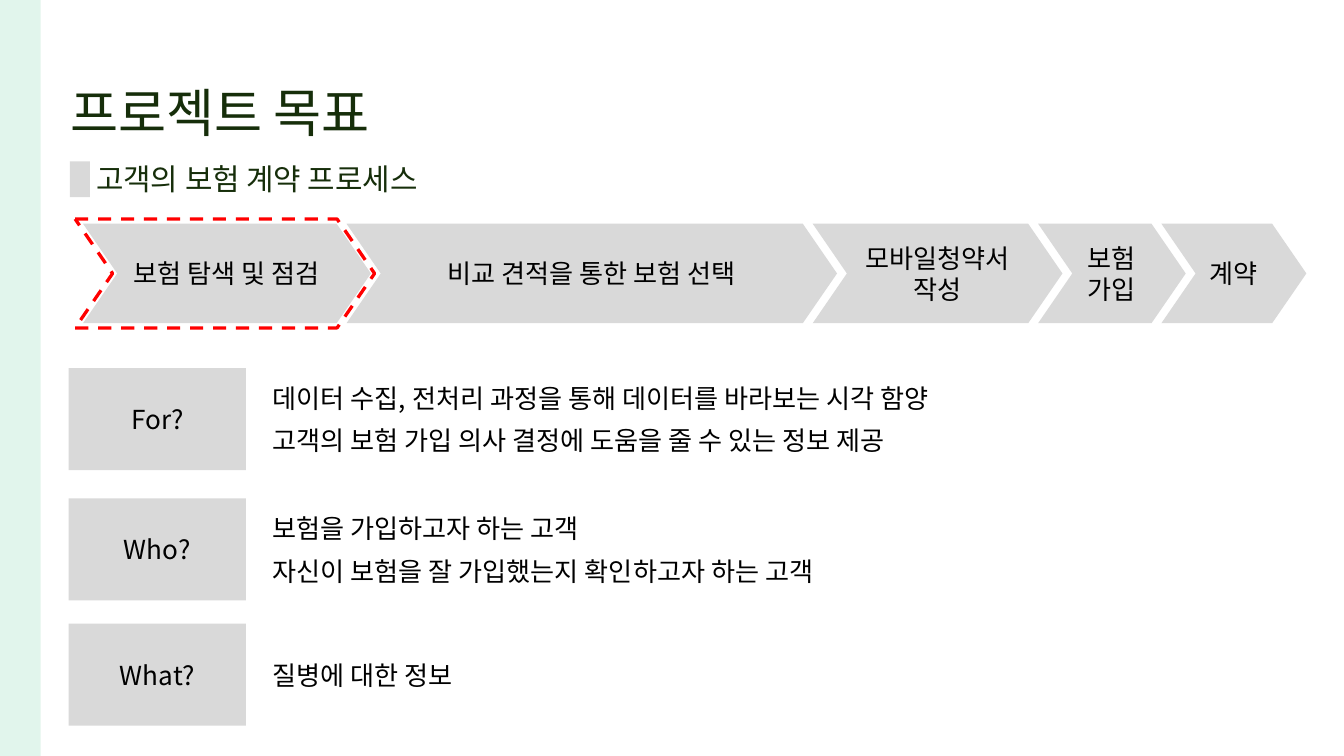
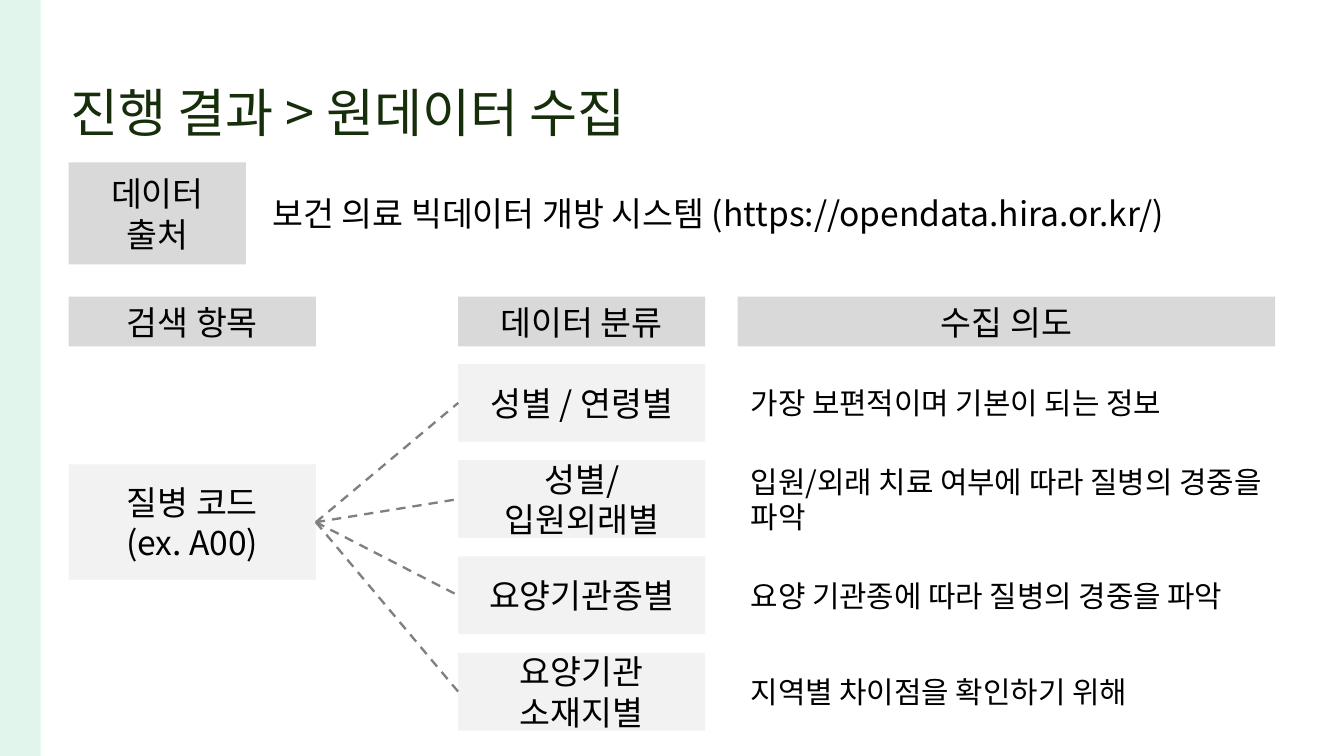
from lxml.etree import SubElement
from pptx import Presentation
from pptx.dml.color import RGBColor
from pptx.enum.dml import MSO_LINE
from pptx.enum.shapes import MSO_CONNECTOR, MSO_SHAPE
from pptx.enum.text import MSO_ANCHOR, MSO_AUTO_SIZE, PP_ALIGN
from pptx.oxml.ns import qn
from pptx.util import Cm, Pt

FONT = "Noto Sans CJK KR"
COLORS = {
    "band": "D8F2E6",
    "title": "162E0A",
    "text": "000000",
    "header": "D9D9D9",
    "cell": "F2F2F2",
    "link": "808080",
    "focus": "FF0000",
}

GOAL_TITLE = "프로젝트 목표"
PROCESS_HEADING = "고객의 보험 계약 프로세스"
STEPS = [
    ("보험 탐색 및 점검", 5.44),
    ("비교 견적을 통한 보험 선택", 9.27),
    ("모바일청약서 작성", 4.72),
    ("보험 가입", 2.79),
    ("계약", 2.74),
]
GOALS = [
    (6.96, "For?", ["데이터 수집, 전처리 과정을 통해 데이터를 바라보는 시각 함양",
                    "고객의 보험 가입 의사 결정에 도움을 줄 수 있는 정보 제공"]),
    (9.42, "Who?", ["보험을 가입하고자 하는 고객",
                    "자신이 보험을 잘 가입했는지 확인하고자 하는 고객"]),
    (11.79, "What?", ["질병에 대한 정보"]),
]

DATA_TITLE = "진행 결과 > 원데이터 수집"
SOURCE_TAG = ["데이터", "출처"]
SOURCE = ["보건 의료 빅데이터 개방 시스템 (https://opendata.hira.or.kr/)"]
COLUMNS = [("검색 항목", 1.3, 4.67), ("데이터 분류", 8.66, 4.67), ("수집 의도", 13.94, 10.16)]
SEARCH_ITEM = ["질병 코드", "(ex. A00)"]
CATEGORIES = [
    ("성별 / 연령별", "가장 보편적이며 기본이 되는 정보"),
    ("성별/ 입원외래별", "입원/외래 치료 여부에 따라 질병의 경중을 파악"),
    ("요양기관종별", "요양 기관종에 따라 질병의 경중을 파악"),
    ("요양기관 소재지별", "지역별 차이점을 확인하기 위해"),
]

WIDTH, HEIGHT = 25.4, 14.29
TAG_X, TAG_W, TAG_H = 1.3, 3.35, 1.93
NOTE_X, NOTE_W = 4.9, 19.2
STEP_X, STEP_Y, STEP_H, STEP_OVERLAP = 1.57, 4.23, 1.88, 0.46
ROW_Y, ROW_H, ROW_PITCH = 6.88, 1.47, 1.82


def rgb(name):
    return RGBColor.from_string(COLORS[name])


def write(tf, lines, size, color="text", align=PP_ALIGN.LEFT, gap=0):
    tf.word_wrap = True
    tf.auto_size = MSO_AUTO_SIZE.NONE
    tf.vertical_anchor = MSO_ANCHOR.MIDDLE
    for i, line in enumerate(lines):
        p = tf.paragraphs[0] if i == 0 else tf.add_paragraph()
        p.alignment = align
        p.space_before = Pt(gap if i else 0)
        r = p.add_run()
        r.text = line
        r.font.size = Pt(size)
        r.font.color.rgb = rgb(color)
        r.font.name = FONT
        SubElement(r._r.get_or_add_rPr(), qn("a:ea")).set("typeface", FONT)


def add_box(s, x, y, w, h, fill=None, lines=(), size=14, kind=MSO_SHAPE.RECTANGLE):
    sp = s.shapes.add_shape(kind, Cm(x), Cm(y), Cm(w), Cm(h))
    sp.shadow.inherit = False
    sp.line.fill.background()
    if fill:
        sp.fill.solid()
        sp.fill.fore_color.rgb = rgb(fill)
    else:
        sp.fill.background()
    if kind == MSO_SHAPE.CHEVRON:
        sp.adjustments[0] = 0.344
    write(sp.text_frame, lines, size, align=PP_ALIGN.CENTER)
    return sp


def add_text(s, x, y, w, h, lines, size, color="text", gap=0):
    sp = s.shapes.add_textbox(Cm(x), Cm(y), Cm(w), Cm(h))
    write(sp.text_frame, lines, size, color, gap=gap)


def add_tagged_note(s, y, tag, note, size):
    add_box(s, TAG_X, y, TAG_W, TAG_H, "header", tag, size)
    add_text(s, NOTE_X, y, NOTE_W, TAG_H, note, size, gap=6)


def add_link(s, start, end):
    c = s.shapes.add_connector(MSO_CONNECTOR.STRAIGHT, 0, 0, 0, 0)
    c.begin_connect(start, 3)
    c.end_connect(end, 1)
    c.line.color.rgb = rgb("link")
    c.line.width = Pt(1.25)
    c.line.dash_style = MSO_LINE.DASH
    SubElement(c._element.spPr, qn("a:effectLst"))


def add_slide(prs, layout, title):
    s = prs.slides.add_slide(layout)
    sp = s.shapes.title
    sp.left, sp.top, sp.width, sp.height = Cm(1.07), Cm(1.17), Cm(20.24), Cm(1.88)
    write(sp.text_frame, [title], 28, "title")
    return s


def add_band(s, layout):
    band = add_box(s, 0, 0, 0.77, HEIGHT, "band")
    color = band.fill._xPr.find(qn("a:solidFill"))[0]
    SubElement(color, qn("a:alpha")).set("val", "75000")
    layout.shapes.element.insert(2, band.element)


def build_goal(s):
    x = STEP_X
    for label, w in STEPS:
        add_box(s, x, STEP_Y, w, STEP_H, "header", [label], kind=MSO_SHAPE.CHEVRON)
        x += w - STEP_OVERLAP
    focus = add_box(s, 1.42, 4.14, 5.66, 2.06, kind=MSO_SHAPE.CHEVRON)
    focus.line.color.rgb = rgb("focus")
    focus.line.width = Pt(1.75)
    focus.line.dash_style = MSO_LINE.DASH
    add_text(s, 1.57, 2.9, 9.47, 0.97, [PROCESS_HEADING], 16, "title")
    add_box(s, 1.32, 3.05, 0.38, 0.68, "header")
    for y, tag, note in GOALS:
        add_tagged_note(s, y, [tag], note, 14)


def build_data(s):
    add_tagged_note(s, 3.07, SOURCE_TAG, SOURCE, 18)
    for label, x, w in COLUMNS:
        add_box(s, x, 5.61, w, 0.94, "header", [label], 18)
    (_, item_x, item_w), (_, class_x, class_w), (_, aim_x, aim_w) = COLUMNS
    item = add_box(s, item_x, 8.78, item_w, 2.18, "cell", SEARCH_ITEM, 18)
    for i, (category, aim) in enumerate(CATEGORIES):
        y = ROW_Y + i * ROW_PITCH
        cell = add_box(s, class_x, y, class_w, ROW_H, "cell", [category], 18)
        add_link(s, item, cell)
        add_text(s, aim_x, y, aim_w, ROW_H, [aim], 16)


def main():
    prs = Presentation()
    prs.slide_width, prs.slide_height = Cm(WIDTH), Cm(HEIGHT)
    layout = prs.slide_layouts[5]
    goal = add_slide(prs, layout, GOAL_TITLE)
    add_band(goal, layout)
    build_goal(goal)
    build_data(add_slide(prs, layout, DATA_TITLE))
    prs.save("out.pptx")


if __name__ == "__main__":
    main()
